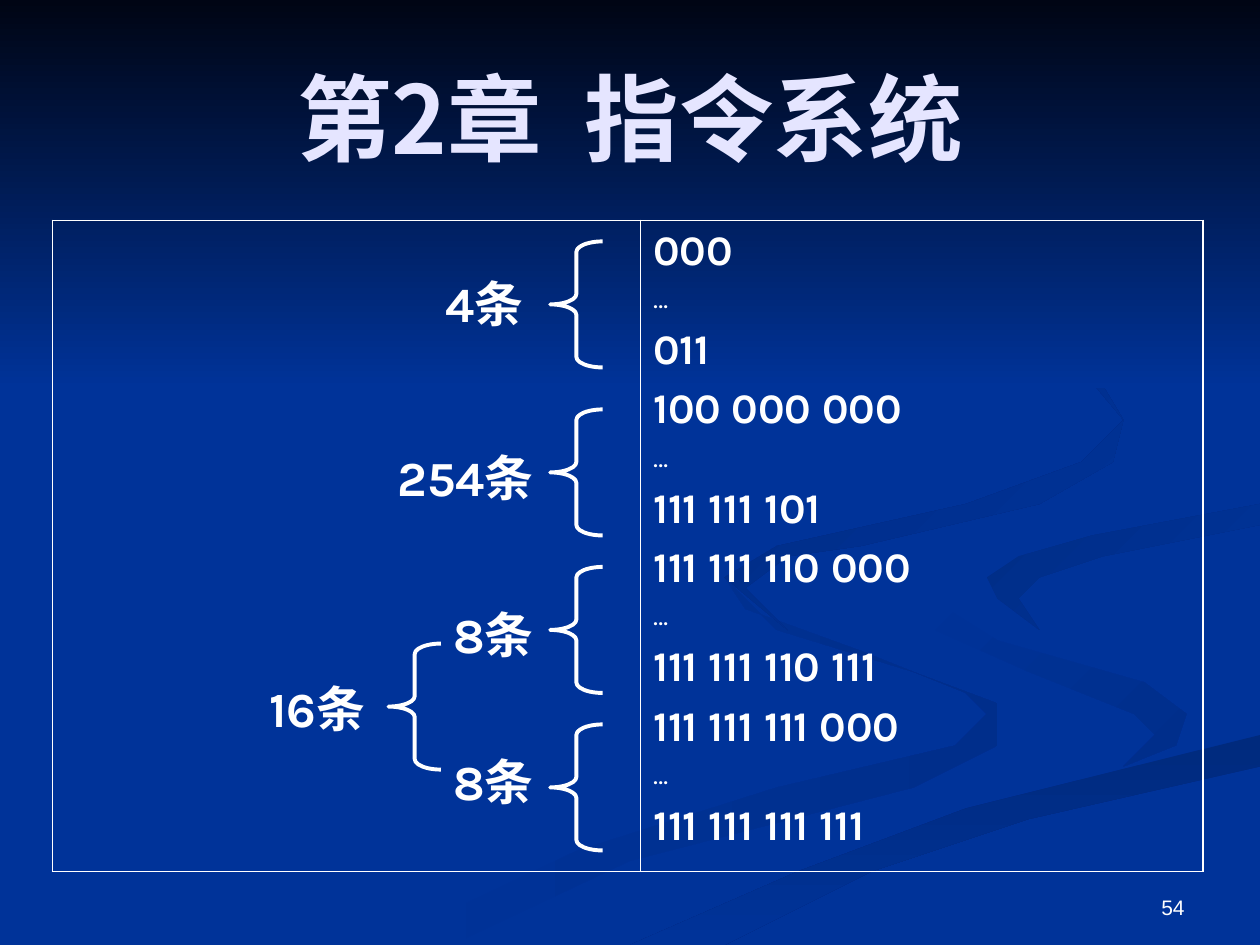
from lxml.etree import SubElement
from pptx import Presentation
from pptx.dml.color import RGBColor
from pptx.enum.shapes import MSO_SHAPE
from pptx.enum.text import MSO_ANCHOR, MSO_AUTO_SIZE, PP_ALIGN
from pptx.oxml.ns import qn
from pptx.util import Inches, Pt

COLORS = {
    "white": "FFFFFF", "title": "E5E5FF", "blue": "003399", "night": "000514",
    "shade1": "002E8B", "shade2": "002A7D", "shade3": "002D86", "shade4": "002B82",
}
CJK_FONT = "Noto Sans CJK SC"
FORMATS = {
    "title": {"size": Pt(54), "bold": True, "name": CJK_FONT},
    "label": {"size": Pt(28), "bold": True, "name": "Karla"},
    "code": {"size": Pt(24), "bold": True, "name": "Karla"},
    "dots": {"size": Pt(16), "bold": False, "name": "Karla"},
    "number": {"size": Pt(12), "bold": False, "name": "Arial"},
}

deck = Presentation()
deck.slide_width, deck.slide_height = Inches(10), Inches(7.5)
page = deck.slides.add_slide(deck.slide_layouts[6])
CELL = deck.slide_width / 120  # the page is a grid of 120 columns and 90 rows


def grid(*cells):
    return [round(cell * CELL) for cell in cells]


def write(para, text, style, align, color="white"):
    para.alignment = align
    span = para.add_run()
    span.text = text
    for name, value in FORMATS[style].items():
        setattr(span.font, name, value)
    span.font.color.rgb = RGBColor.from_string(COLORS[color])
    SubElement(span.font._element, qn("a:ea"), typeface=CJK_FONT)


# Background swirls: first colour, second colour, angle, outline in grid cells
page.background.fill.solid()
page.background.fill.fore_color.rgb = RGBColor.from_string(COLORS["blue"])
swirls = [
    ("blue", "shade1", 0, [
        (69, 55), (71, 58), (82, 62), (92, 66), (94, 68), (91, 71), (74, 75), (55, 81),
        (36, 90), (43, 90), (60, 82), (87, 75), (95, 71), (95, 67), (87, 64), (74, 60)]),
    ("blue", "shade1", 315, [
        (87, 56), (89, 60), (98, 64), (108, 68), (110, 70), (107, 73), (112, 71),
        (113, 68), (109, 65), (95, 61)]),
    ("shade2", "blue", 270, [
        (60, 90), (69, 90), (83, 83), (98, 78), (120, 73), (120, 70), (108, 73),
        (92, 77), (76, 83)]),
    ("shade3", "blue", 315, [
        (94, 55), (95, 57), (99, 60), (97, 57), (99, 55), (105, 53), (120, 50),
        (120, 48), (104, 51), (97, 53)]),
    ("shade4", "blue", 315, [
        (82, 52), (99, 48), (106, 44), (107, 40), (104, 35), (92, 28), (102, 34),
        (107, 40), (103, 44), (92, 48), (74, 52), (69, 55), (75, 60), (71, 56), (75, 53)]),
]
shades = []
for first, second, angle, outline in swirls:
    builder = page.shapes.build_freeform(*outline[0], scale=CELL)
    builder.add_line_segments(outline[1:], close=True)
    shades.append((builder.convert_to_shape(), first, second, angle))
sky = page.shapes.add_shape(MSO_SHAPE.RECTANGLE, *grid(0, 0, 120, 37))
shades.append((sky, "night", "blue", 270))
for shade, first, second, angle in shades:
    shade.shadow.inherit = False
    shade.line.fill.background()
    shade.fill.gradient()
    shade.fill.gradient_angle = angle
    for stop, color in zip(shade.fill.gradient_stops, (first, second)):
        stop.color.rgb = RGBColor.from_string(COLORS[color])

# Table of opcodes
table = page.shapes.add_table(1, 2, *grid(5, 21, 109.6, 62)).table
table.first_row = table.horz_banding = False
for column, width in zip(table.columns, grid(56, 53.6)):
    column.width = width
for cell, edges in zip(table.rows[0].cells, ((1.08, 0.45), (0.45, 1.08))):
    for tag, weight in zip(("a:lnL", "a:lnR", "a:lnT", "a:lnB"), (*edges, 1.08, 1.08)):
        border = SubElement(cell._tc.get_or_add_tcPr(), qn(tag), w=str(Pt(weight)))
        paint = SubElement(border, qn("a:solidFill"))
        SubElement(paint, qn("a:srgbClr"), val=COLORS["white"])
    cell.fill.background()

ranges = [("000", "011"), ("100 000 000", "111 111 101"),
          ("111 111 110 000", "111 111 110 111"), ("111 111 111 000", "111 111 111 111")]
frame = table.cell(0, 1).text_frame
for index, (start, end) in enumerate(ranges):
    for text, style, space in ((start, "code", 6), ("…", "dots", 4), (end, "code", 6)):
        is_first = index == 0 and text == start
        para = frame.paragraphs[0] if is_first else frame.add_paragraph()
        para.space_before = Pt(0 if is_first else space)
        write(para, text, style, PP_ALIGN.LEFT)

# Braces: left, top
for left, top in ((52.4, 23), (52.4, 39), (52.4, 54), (52.4, 69), (37, 61.3)):
    brace = page.shapes.add_shape(MSO_SHAPE.LEFT_BRACE, *grid(left, top, 5, 12))
    brace.adjustments[0] = 0.2
    brace.shadow.inherit = False
    brace.fill.background()
    brace.line.width = Pt(2.25)
    brace.line.color.rgb = RGBColor.from_string(COLORS["white"])

# Title, brace labels and page number: text, style, colour, align, anchor, place
RIGHT, TOP = PP_ALIGN.RIGHT, MSO_ANCHOR.TOP
texts = [
    ("第2章  指令系统", "title", "title", PP_ALIGN.CENTER, MSO_ANCHOR.MIDDLE, (6, 3.6, 108, 15)),
    ("54", "number", "white", RIGHT, MSO_ANCHOR.BOTTOM, (86, 82, 28, 6.2)),
]
labels = [("4条", 20, 25.5, 31), ("254条", 20, 42, 32), ("8条", 41, 57, 11),
          ("8条", 41, 71, 11), ("16条", 18, 64, 18)]
for text, left, top, width in labels:
    texts.append((text, "label", "white", RIGHT, TOP, (left, top, width, 6.8)))
for text, style, color, align, anchor, place in texts:
    box = page.shapes.add_textbox(*grid(*place))
    box.text_frame.word_wrap = True
    box.text_frame.vertical_anchor = anchor
    if style == "label":
        box.text_frame.auto_size = MSO_AUTO_SIZE.SHAPE_TO_FIT_TEXT
    write(box.text_frame.paragraphs[0], text, style, align, color)

deck.save("out.pptx")
